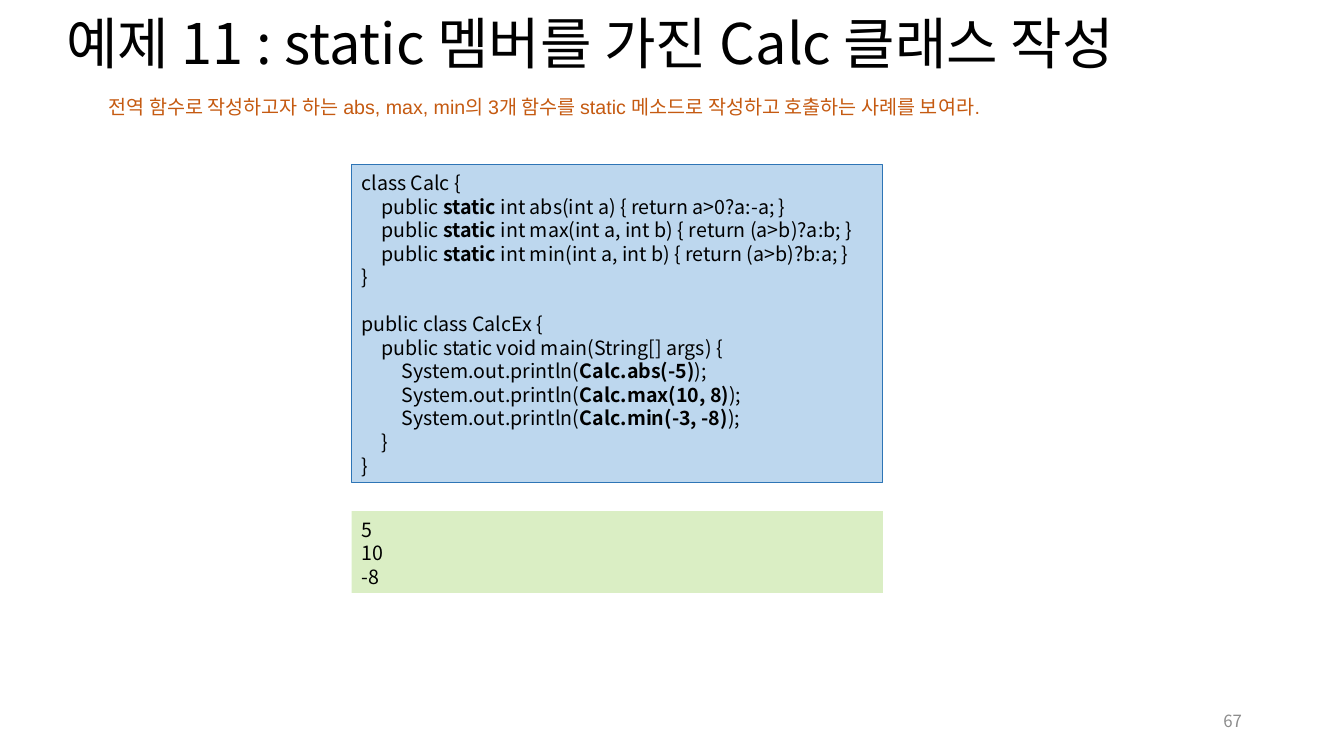
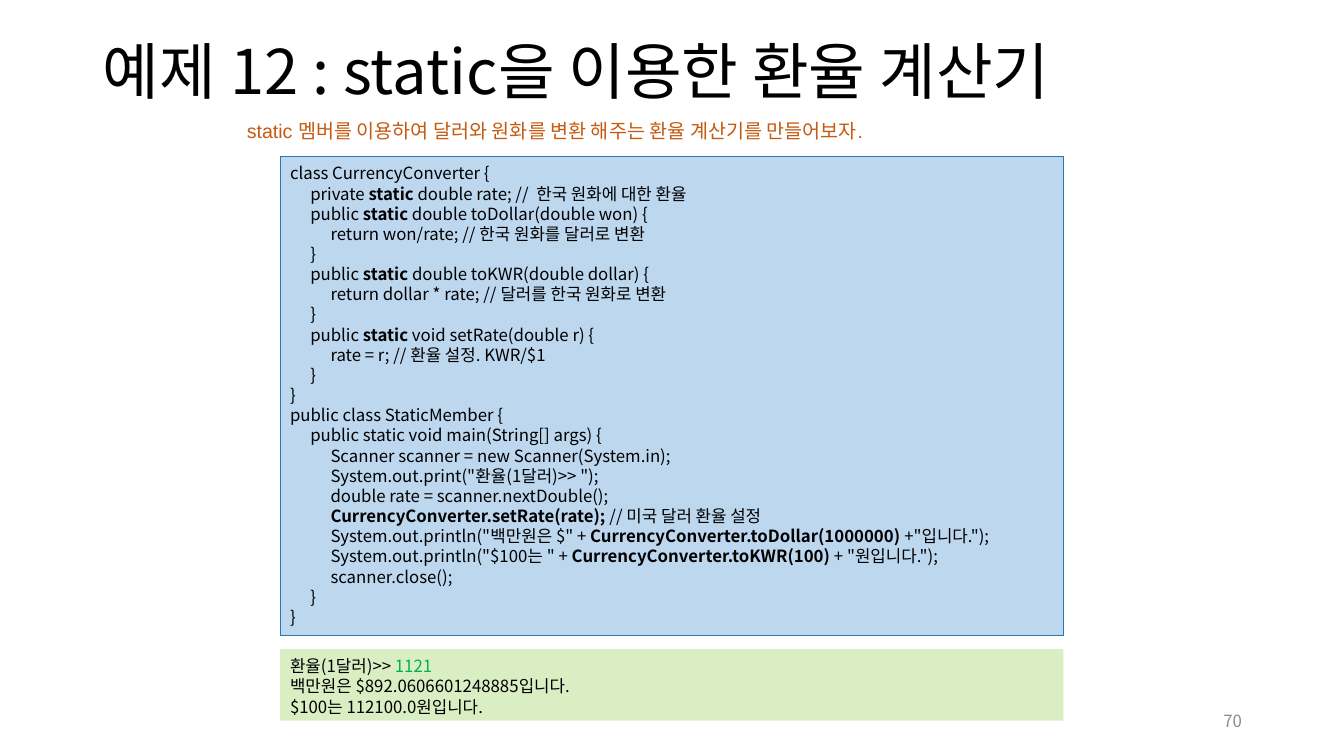
import pptx
import pptx.util
import pptx.dml.color
import pptx.enum.shapes
import pptx.enum.text
import pptx.oxml.xmlchemy

Cm, Pt = pptx.util.Cm, pptx.util.Pt
RGBColor = pptx.dml.color.RGBColor
PP_ALIGN = pptx.enum.text.PP_ALIGN
MSO_ANCHOR = pptx.enum.text.MSO_ANCHOR

BLACK = RGBColor(0x00, 0x00, 0x00)
GRAY = RGBColor(0x8C, 0x8C, 0x8C)
ORANGE = RGBColor(0xC5, 0x5A, 0x11)
CODE_FILL = RGBColor(0xBD, 0xD7, 0xEE)
CODE_LINE = RGBColor(0x2E, 0x75, 0xB6)
OUTPUT_FILL = RGBColor(0xDA, 0xEE, 0xC4)
INPUT_GREEN = RGBColor(0x00, 0xB0, 0x50)
FONT = "Noto Sans CJK KR"
MARK = "**"
TAB = Cm(0.51)


def write_line(shape, text, size, color, font=FONT, align=PP_ALIGN.LEFT, anchor=MSO_ANCHOR.TOP):
    tf = shape.text_frame
    tf.word_wrap = True
    tf.auto_size = pptx.enum.text.MSO_AUTO_SIZE.NONE
    tf.vertical_anchor = anchor
    p = tf.paragraphs[0]
    p.text = text
    p.alignment = align
    p.font.name = font
    p.font.size = Pt(size)
    p.font.color.rgb = color
    return p


def add_panel(s, box, fill, lines, size):
    sp = s.shapes.add_shape(pptx.enum.shapes.MSO_SHAPE.RECTANGLE, *map(Cm, box))
    sp.shadow.inherit = False
    sp.fill.solid()
    sp.fill.fore_color.rgb = fill
    sp.line.fill.background()
    tf = sp.text_frame
    tf.word_wrap = True
    tf.vertical_anchor = MSO_ANCHOR.TOP
    tf.margin_top = Cm(0.17)
    for i, line in enumerate(lines):
        p = tf.add_paragraph() if i else tf.paragraphs[0]
        p.alignment = PP_ALIGN.LEFT
        tabs = pptx.oxml.xmlchemy.OxmlElement("a:tabLst")
        for level in (1, 2):
            tab = pptx.oxml.xmlchemy.OxmlElement("a:tab")
            tab.set("pos", str(level * TAB))
            tab.set("algn", "l")
            tabs.append(tab)
        p._p.get_or_add_pPr().append(tabs)
        p.line_spacing = Pt(size * 1.2)
        p.font.name = FONT
        p.font.size = Pt(size)
        p.font.color.rgb = BLACK
        for k, part in enumerate(line.split(MARK)):
            if part:
                r = p.add_run()
                r.text = part
                if k % 2 and fill == CODE_FILL:
                    r.font.bold = True
                elif k % 2:
                    r.font.color.rgb = INPUT_GREEN
    return sp


SLIDES = [
    {
        "title": "예제 11 : static 멤버를 가진 Calc 클래스 작성",
        "title_box": (1.42, 0.05, 32.44, 2.24),
        "title_size": 40,
        "task": "전역 함수로 작성하고자 하는 abs, max, min의 3개 함수를 static 메소드로 작성하고 호출하는 사례를 보여라.",
        "task_box": (2.49, 2.26, 26.9, 0.86),
        "number": "67",
        "size": 14,
        "code_box": (8.86, 4.14, 13.39, 8.03),
        "code": [
            "class Calc {",
            "\tpublic **static **int abs(int a) { return a>0?a:-a; }",
            "\tpublic **static **int max(int a, int b) { return (a>b)?a:b; }",
            "\tpublic **static **int min(int a, int b) { return (a>b)?b:a; }",
            "}",
            "",
            "public class CalcEx {",
            "\tpublic static void main(String[] args) {",
            "\t\tSystem.out.println(**Calc.abs(-5)**);",
            "\t\tSystem.out.println(**Calc.max(10, 8)**);",
            "\t\tSystem.out.println(**Calc.min(-3, -8)**);",
            "\t}",
            "}",
        ],
        "output_box": (8.86, 12.88, 13.39, 2.06),
        "output": ["5", "10", "-8"],
    },
    {
        "title": "예제 12 : static을 이용한 환율 계산기",
        "title_box": (2.34, 0.05, 29.21, 3.68),
        "title_size": 44,
        "task": "static 멤버를 이용하여 달러와 원화를 변환 해주는 환율 계산기를 만들어보자.",
        "task_box": (5.97, 2.87, 19.99, 0.86),
        "number": "70",
        "size": 12,
        "code_box": (7.06, 3.94, 19.74, 12.07),
        "code": [
            "class CurrencyConverter {",
            "\tprivate **static** double rate; //  한국 원화에 대한 환율",
            "\tpublic **static** double toDollar(double won) {",
            "\t\treturn won/rate; // 한국 원화를 달러로 변환",
            "\t}",
            "\tpublic **static **double toKWR(double dollar) {",
            "\t\treturn dollar * rate; // 달러를 한국 원화로 변환",
            "\t}",
            "\tpublic **static** void setRate(double r) {",
            "\t\trate = r; // 환율 설정. KWR/$1",
            "\t}",
            "}",
            "public class StaticMember {",
            "\tpublic static void main(String[] args) {",
            "\t\tScanner scanner = new Scanner(System.in);",
            '\t\tSystem.out.print("환율(1달러)>> ");',
            "\t\tdouble rate = scanner.nextDouble();",
            "**\t\tCurrencyConverter.setRate(rate);** // 미국 달러 환율 설정",
            '\t\tSystem.out.println("백만원은 $" + **CurrencyConverter.toDollar(1000000) **+"입니다.");',
            '\t\tSystem.out.println("$100는 " + **CurrencyConverter.toKWR(100)** + "원입니다.");',
            "\t\tscanner.close();",
            "\t}",
            "}",
        ],
        "output_box": (7.06, 16.36, 19.74, 1.8),
        "output": [
            "환율(1달러)>> **1121**",
            "백만원은 $892.0606601248885입니다.",
            "$100는 112100.0원입니다.",
        ],
    },
]

prs = pptx.Presentation()
prs.slide_width, prs.slide_height = Cm(33.87), Cm(19.05)

for d in SLIDES:
    s = prs.slides.add_slide(prs.slide_layouts[5])
    title = s.shapes.title
    title.left, title.top, title.width, title.height = map(Cm, d["title_box"])
    p = write_line(title, d["title"], d["title_size"], BLACK, anchor=MSO_ANCHOR.MIDDLE)
    p.line_spacing = 0.9

    number = s.shapes.add_textbox(Cm(23.93), Cm(17.65), Cm(7.62), Cm(1.02))
    write_line(number, d["number"], 12, GRAY, align=PP_ALIGN.RIGHT, anchor=MSO_ANCHOR.MIDDLE)

    task = s.shapes.add_textbox(*map(Cm, d["task_box"]))
    write_line(task, d["task"], 14, ORANGE, font="Arial")

    code = add_panel(s, d["code_box"], CODE_FILL, d["code"], d["size"])
    code.line.color.rgb = CODE_LINE
    code.line.width = Pt(0.75)
    add_panel(s, d["output_box"], OUTPUT_FILL, d["output"], d["size"])

prs.save("out.pptx")
